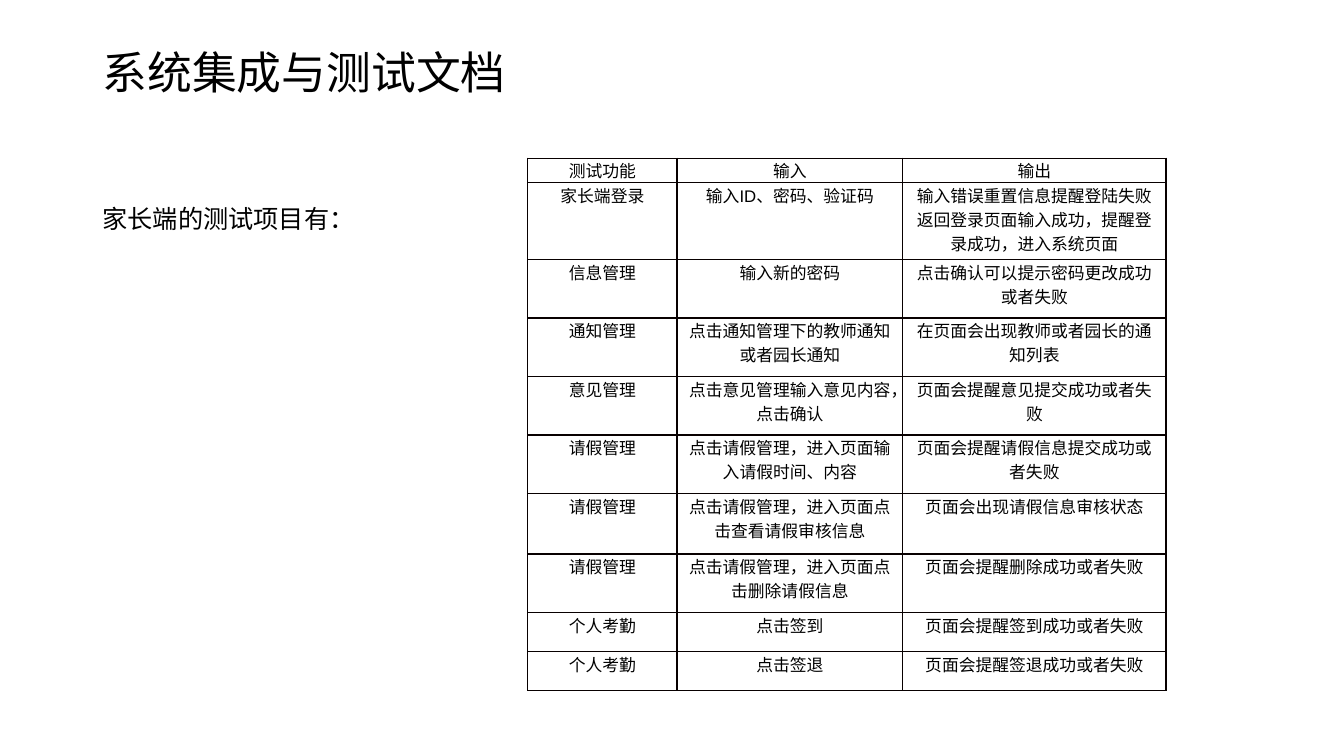
from pptx import Presentation
from pptx.dml.color import RGBColor
from pptx.enum.text import MSO_ANCHOR as Anchor, MSO_AUTO_SIZE as Fit, PP_ALIGN as Align
from pptx.oxml.ns import qn
from pptx.util import Pt
from lxml.etree import SubElement as Sub

COLS = [106.6, 161.3, 188]
ROWS = [14.4, 55] + [41.8] * 4 + [43.2, 41.8] + [28] * 2
TESTS = [
    ("测试功能", "输入", "输出"),
    ("家长端登录", "输入ID、密码、验证码",
     "输入错误重置信息提醒登陆失败返回登录页面输入成功，提醒登录成功，进入系统页面"),
    ("信息管理", "输入新的密码", "点击确认可以提示密码更改成功或者失败"),
    ("通知管理", "点击通知管理下的教师通知或者园长通知", "在页面会出现教师或者园长的通知列表"),
    ("意见管理", "点击意见管理输入意见内容，点击确认", "页面会提醒意见提交成功或者失败"),
    ("请假管理", "点击请假管理，进入页面输入请假时间、内容", "页面会提醒请假信息提交成功或者失败"),
    ("请假管理", "点击请假管理，进入页面点击查看请假审核信息", "页面会出现请假信息审核状态"),
    ("请假管理", "点击请假管理，进入页面点击删除请假信息", "页面会提醒删除成功或者失败"),
    ("个人考勤", "点击签到", "页面会提醒签到成功或者失败"),
    ("个人考勤", "点击签退", "页面会提醒签退成功或者失败"),
]


def tint(code):
    return RGBColor.from_string(code)


def write(frame, text, size, face, align):
    frame.text = text
    para = frame.paragraphs[0]
    para.alignment = align
    font = para.runs[0].font
    font.size, font.name = Pt(size), face
    font.color.rgb = tint("000000")
    return para


def place(shape, left, top, width, height):
    shape.left, shape.top = Pt(left), Pt(top)
    shape.width, shape.height = Pt(width), Pt(height)


def fill_holder(shape, box, text, size, anchor):
    place(shape, *box)
    frame = shape.text_frame
    frame.word_wrap = True
    frame.auto_size = Fit.NONE
    frame.vertical_anchor = anchor
    para = write(frame, text, size, "Calibri", Align.LEFT)
    para.line_spacing = 0.9
    return para


def drop_bullet(para):
    props = para._p.get_or_add_pPr()
    props.set("marL", "0")
    props.set("indent", "0")
    Sub(props, qn("a:buNone"))


def add_edges(cell, code, width):
    props = cell._tc.get_or_add_tcPr()
    for side in ("lnL", "lnR", "lnT", "lnB"):
        line = Sub(props, qn("a:" + side), w=str(Pt(width)))
        Sub(Sub(line, qn("a:solidFill")), qn("a:srgbClr"), val=code)


def style_cell(cell, text):
    cell.margin_left = cell.margin_right = Pt(5.4)
    cell.margin_top = cell.margin_bottom = 0
    write(cell.text_frame, text, 12, "Arial", Align.CENTER)
    add_edges(cell, "080000", 1)
    cell.fill.solid()
    cell.fill.fore_color.rgb = tint("FFFFFF")


def add_grid(slide, left, top, data):
    frame = slide.shapes.add_table(len(ROWS), len(COLS), Pt(left), Pt(top),
                                   Pt(sum(COLS)), Pt(sum(ROWS)))
    table = frame.table
    table.first_row = table.horz_banding = False
    for col, width in zip(table.columns, COLS):
        col.width = Pt(width)
    for row, height, texts in zip(table.rows, ROWS, data):
        row.height = Pt(height)
        for cell, text in zip(row.cells, texts):
            style_cell(cell, text)


def main():
    deck = Presentation()
    deck.slide_width, deck.slide_height = Pt(960), Pt(540)
    slide = deck.slides.add_slide(deck.slide_layouts[1])
    title, body = slide.placeholders
    fill_holder(title, (66, 28.8, 828, 104.4), "系统集成与测试文档", 32, Anchor.MIDDLE)
    title.text_frame.margin_bottom = Pt(59)
    para = fill_holder(body, (66, 143.8, 828, 342.6), "家长端的测试项目有：", 18, Anchor.TOP)
    para.space_before = Pt(10)
    drop_bullet(para)
    add_grid(slide, 377, 113, TESTS)
    deck.save("out.pptx")


main()
